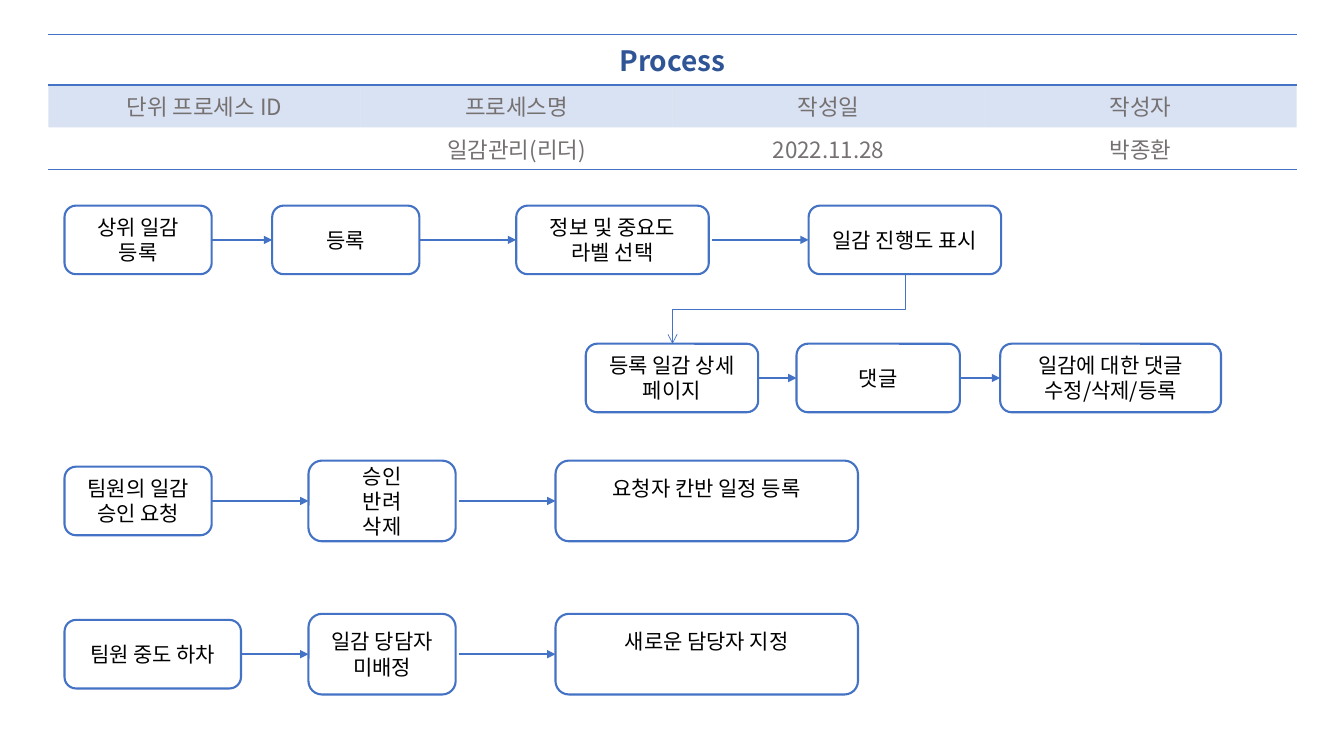
"""Build the process slide: a heading table above four lanes of linked steps."""
from dataclasses import dataclass

import lxml.etree
import pptx
import pptx.dml.color
import pptx.enum.shapes
import pptx.enum.text
import pptx.oxml.ns
import pptx.util

Inches = pptx.util.Inches
Pt = pptx.util.Pt
qn = pptx.oxml.ns.qn

FONT = "Noto Sans CJK KR"
COLORS = {
    "accent": "4472C4",
    "title": "2F5597",
    "heading": "767171",
    "step": "000000",
    "paper": "FFFFFF",
}
NO_GRID_STYLE = "{2D5ABB26-0587-4C30-8999-92F81FD0307C}"


@dataclass(frozen=True)
class Step:
    left: float
    width: float
    lines: tuple[str, ...]
    height: float = 0.68
    bottom_inset: float = 0.05


@dataclass(frozen=True)
class Lane:
    middle: float
    steps: tuple[Step, ...]
    arrows: tuple[tuple[float, float], ...]


@dataclass(frozen=True)
class HeadingRow:
    height: float
    texts: tuple[str, ...]
    size: int = 16
    color: str = "heading"
    bold: bool = False
    tinted: bool = False
    borders: tuple[str, ...] = ()


HEADING = (
    HeadingRow(0.46, ("Process", "", "", ""), 20, "title", True, borders=("a:lnT", "a:lnB")),
    HeadingRow(0.38, ("단위 프로세스 ID", "프로세스명", "작성일", "작성자"), tinted=True),
    HeadingRow(0.38, ("", "일감관리(리더)", "2022.11.28", "박종환"), borders=("a:lnB",)),
)

LANES = (
    Lane(2.38, (
        Step(0.64, 1.46, ("상위 일감", "등록")),
        Step(2.7, 1.46, ("등록",)),
        Step(5.12, 1.91, ("정보 및 중요도 라벨 선택",)),
        Step(8.02, 1.91, ("일감 진행도 표시",)),
    ), ((2.1, 2.7), (4.16, 5.12), (7.06, 8.02))),
    Lane(3.75, (
        Step(5.81, 1.71, ("등록 일감 상세", "페이지")),
        Step(7.9, 1.62, ("댓글",)),
        Step(9.92, 2.19, ("일감에 대한 댓글", "수정/삭제/등록")),
    ), ((7.52, 7.9), (9.52, 9.92))),
    Lane(4.97, (
        Step(0.64, 1.46, ("팀원의 일감 승인 요청",)),
        Step(3.06, 1.46, ("승인", "반려", "삭제"), 0.8),
        Step(5.51, 3, ("요청자 칸반 일정 등록",), 0.8, 0.3),
    ), ((2.1, 3.06), (4.55, 5.51))),
    Lane(6.49, (
        Step(0.64, 1.75, ("팀원 중도 하차",)),
        Step(3.06, 1.46, ("일감 당담자 미배정",), 0.8),
        Step(5.51, 3, ("새로운 담당자 지정",), 0.8, 0.3),
    ), ((2.1, 3.06), (4.55, 5.51))),
)


def rgb(name: str) -> pptx.dml.color.RGBColor:
    return pptx.dml.color.RGBColor.from_string(COLORS[name])


def write(paragraph, text: str, size: int, color: str, bold: bool = False) -> None:
    paragraph.alignment = pptx.enum.text.PP_ALIGN.CENTER
    if not text:
        end = lxml.etree.SubElement(paragraph._p, qn("a:endParaRPr"))
        end.set("sz", str(size * 100))
        return
    run = paragraph.add_run()
    run.text = text
    run.font.size = Pt(size)
    run.font.bold = bold
    run.font.name = FONT
    run.font.color.rgb = rgb(color)
    east_asian = lxml.etree.SubElement(run._r.get_or_add_rPr(), qn("a:ea"))
    east_asian.set("typeface", FONT)


def add_border(cell, side: str, position: int) -> None:
    border = lxml.etree.Element(qn(side), w=str(Pt(1)))
    fill = lxml.etree.SubElement(border, qn("a:solidFill"))
    lxml.etree.SubElement(fill, qn("a:srgbClr"), val=COLORS["accent"])
    cell._tc.get_or_add_tcPr().insert(position, border)


def add_heading(slide) -> None:
    total = sum(row.height for row in HEADING)
    frame = slide.shapes.add_table(
        len(HEADING), 4, Inches(0.48), Inches(0.34), Inches(12.38), Inches(total))
    table = frame.table
    table.first_row = False
    table.horz_banding = False
    table._tbl.tblPr.find(qn("a:tableStyleId")).text = NO_GRID_STYLE
    for r, row in enumerate(HEADING):
        table.rows[r].height = Inches(row.height)
        for c, text in enumerate(row.texts):
            cell = table.cell(r, c)
            cell.vertical_anchor = pptx.enum.text.MSO_ANCHOR.MIDDLE
            write(cell.text_frame.paragraphs[0], text, row.size, row.color, row.bold)
            if row.tinted:
                cell.fill.solid()
                cell.fill.fore_color.rgb = rgb("accent")
                tint = cell._tc.tcPr.find(".//" + qn("a:srgbClr"))
                lxml.etree.SubElement(tint, qn("a:alpha"), val="20000")
            else:
                cell.fill.background()
            for position, side in enumerate(row.borders):
                add_border(cell, side, position)
    table.cell(0, 0).merge(table.cell(0, 3))


def add_link(slide, kind, start: tuple[float, float], end: tuple[float, float],
             width: float, head: str):
    link = slide.shapes.add_connector(
        kind, Inches(start[0]), Inches(start[1]), Inches(end[0]), Inches(end[1]))
    link.line.color.rgb = rgb("accent")
    link.line.width = Pt(width)
    lxml.etree.SubElement(link.line._get_or_add_ln(), qn("a:tailEnd"), type=head)
    lxml.etree.SubElement(link._element.spPr, qn("a:effectLst"))
    return link


def add_step(slide, step: Step, middle: float) -> None:
    box = slide.shapes.add_shape(
        pptx.enum.shapes.MSO_SHAPE.ROUNDED_RECTANGLE, Inches(step.left),
        Inches(middle - step.height / 2), Inches(step.width), Inches(step.height))
    box.shadow.inherit = False
    box.fill.solid()
    box.fill.fore_color.rgb = rgb("paper")
    box.line.color.rgb = rgb("accent")
    box.line.width = Pt(1.5)
    frame = box.text_frame
    frame.word_wrap = True
    frame.vertical_anchor = pptx.enum.text.MSO_ANCHOR.MIDDLE
    frame.margin_bottom = Inches(step.bottom_inset)
    for i, line in enumerate(step.lines):
        paragraph = frame.add_paragraph() if i else frame.paragraphs[0]
        write(paragraph, line, 15, "step")


def add_lane(slide, lane: Lane) -> None:
    straight = pptx.enum.shapes.MSO_CONNECTOR.STRAIGHT
    for start, end in lane.arrows:
        add_link(slide, straight, (start, lane.middle), (end, lane.middle), 1.5, "triangle")
    for step in lane.steps:
        add_step(slide, step, lane.middle)


def add_detail_link(slide) -> None:
    elbow = pptx.enum.shapes.MSO_CONNECTOR.ELBOW
    link = add_link(slide, elbow, (7.48, 1.91), (8.17, 4.22), 0.5, "arrow")
    link._element.spPr.find(qn("a:xfrm")).set("rot", str(90 * 60000))


def main() -> None:
    deck = pptx.Presentation()
    deck.slide_width = Inches(13.33)
    deck.slide_height = Inches(7.5)
    slide = deck.slides.add_slide(deck.slide_layouts[6])
    add_heading(slide)
    for lane in LANES:
        add_lane(slide, lane)
    add_detail_link(slide)
    deck.save("out.pptx")


if __name__ == "__main__":
    main()
